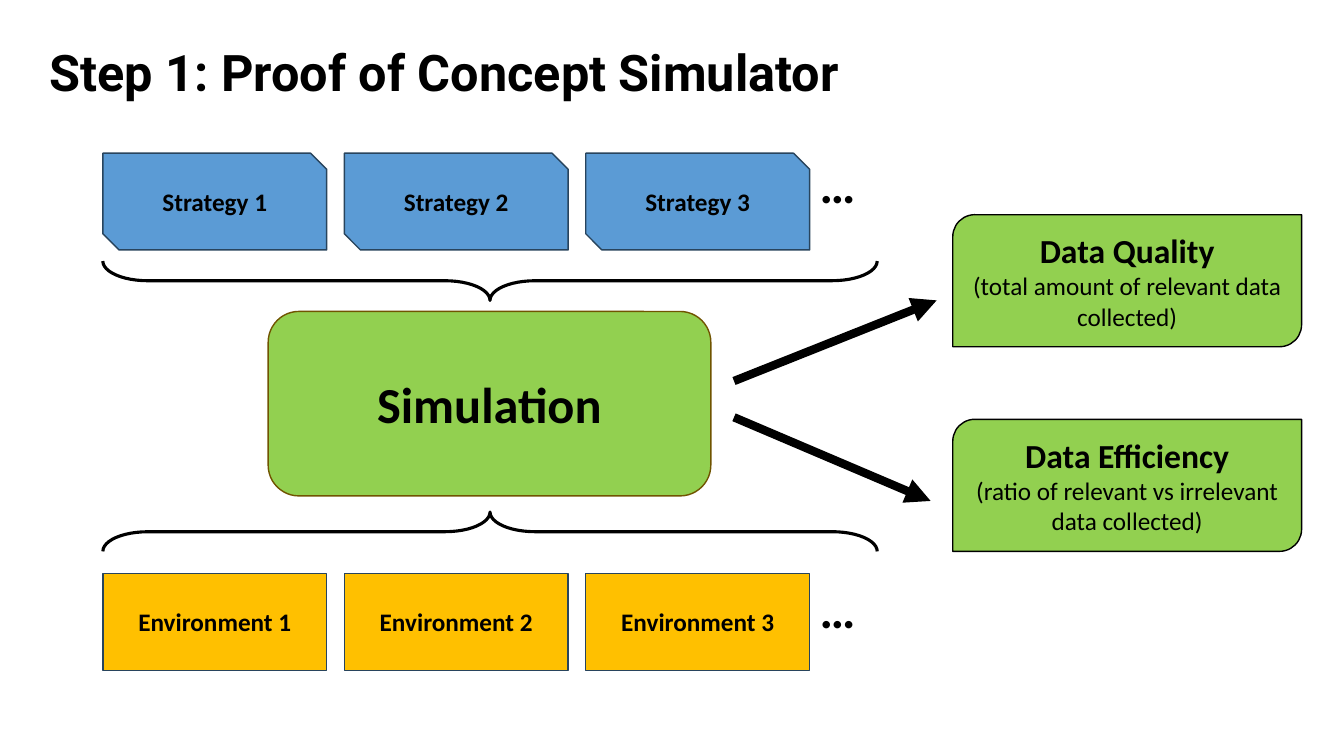
from lxml import etree
from pptx import Presentation
from pptx.dml.color import RGBColor
from pptx.enum.shapes import MSO_CONNECTOR as Connector, MSO_SHAPE as Shape
from pptx.enum.text import MSO_ANCHOR as Anchor, MSO_AUTO_SIZE as AutoSize, PP_ALIGN as Align
from pptx.oxml.ns import qn
from pptx.util import Inches, Pt

BLACK = RGBColor(0x00, 0x00, 0x00)
BLUE = RGBColor(0x5B, 0x9B, 0xD5)
NAVY = RGBColor(0x28, 0x44, 0x5D)
AMBER = RGBColor(0xFF, 0xC0, 0x00)
GREEN = RGBColor(0x92, 0xD0, 0x50)
BROWN = RGBColor(0x70, 0x54, 0x00)

CARD_WIDTH, CARD_HEIGHT, CARD_STEP = 2.22, 0.96, 2.395


def style_paragraph(paragraph, text, size, bold=True, align=Align.CENTER, font="Calibri"):
    """Fill a paragraph and set its font."""
    paragraph.text = text
    paragraph.alignment = align
    paragraph.font.name = font
    paragraph.font.size = Pt(size)
    paragraph.font.bold = bold
    paragraph.font.color.rgb = BLACK


def add_block(slide, preset, box, fill, outline, lines):
    """Draw a filled shape holding centred (text, size, bold) lines."""
    block = slide.shapes.add_shape(preset, *map(Inches, box))
    block.shadow.inherit = False
    block.fill.solid()
    block.fill.fore_color.rgb = fill
    block.line.color.rgb = outline
    block.line.width = Pt(1)
    frame = block.text_frame
    frame.word_wrap = True
    frame.vertical_anchor = Anchor.MIDDLE
    for index, (text, size, bold) in enumerate(lines):
        paragraph = frame.add_paragraph() if index else frame.paragraphs[0]
        style_paragraph(paragraph, text, size, bold)


def add_title(slide, box, text):
    """Place the slide title."""
    title = slide.shapes.title
    title.left, title.top, title.width, title.height = map(Inches, box)
    title.text_frame.word_wrap = True
    title.text_frame.auto_size = AutoSize.NONE
    title.text_frame.vertical_anchor = Anchor.TOP
    style_paragraph(title.text_frame.paragraphs[0], text, 36, align=Align.LEFT, font="Roboto")


def add_card_row(slide, left, top, preset, fill, label, ellipsis_top):
    """Draw three numbered cards followed by an ellipsis."""
    for index in range(3):
        box = (left + index * CARD_STEP, top, CARD_WIDTH, CARD_HEIGHT)
        add_block(slide, preset, box, fill, NAVY, [(f"{label} {index + 1}", 18, True)])
    ellipsis_left = left + 2 * CARD_STEP + CARD_WIDTH
    ellipsis = slide.shapes.add_textbox(*map(Inches, (ellipsis_left, ellipsis_top, 0.87, 0.88)))
    ellipsis.text_frame.word_wrap = True
    style_paragraph(ellipsis.text_frame.paragraphs[0], "…", 36, align=Align.LEFT)


def add_brace(slide, box, rotation):
    """Draw a horizontal brace filling the box as seen on the slide."""
    left, top, width, height = box
    upright = (left + (width - height) / 2, top + (height - width) / 2, height, width)
    brace = slide.shapes.add_shape(Shape.LEFT_BRACE, *map(Inches, upright))
    brace.rotation = rotation
    brace.adjustments[0] = 1.144
    brace.adjustments[1] = 0.5
    brace.shadow.inherit = False
    brace.fill.background()
    brace.line.color.rgb = BLACK
    brace.line.width = Pt(2.25)


def add_arrow(slide, start, end):
    """Draw a thick arrow between two points."""
    arrow = slide.shapes.add_connector(Connector.STRAIGHT, *map(Inches, start + end))
    arrow.line.color.rgb = BLACK
    arrow.line.width = Pt(6)
    etree.SubElement(arrow.line._get_or_add_ln(), qn("a:tailEnd"), type="triangle")
    etree.SubElement(arrow._element.spPr, qn("a:effectLst"))


def add_inputs(slide, left, top):
    """Draw the strategies and environments with their braces."""
    add_card_row(slide, left, top, Shape.SNIP_2_DIAG_RECTANGLE, BLUE, "Strategy", top - 0.05)
    add_brace(slide, (left, top + 1.07, 7.68, 0.39), 270)
    add_brace(slide, (left, top + 3.56, 7.68, 0.39), 90)
    add_card_row(slide, left, top + 4.17, Shape.RECTANGLE, AMBER, "Environment", top + 4.17)


def add_outcomes(slide, left, top):
    """Draw the two measured outcomes one above the other."""
    outcomes = [
        ("Data Quality", "(total amount of relevant data collected)"),
        ("Data Efficiency", "(ratio of relevant vs irrelevant data collected)"),
    ]
    for index, (measure, meaning) in enumerate(outcomes):
        box = (left, top + index * 2.03, 3.46, 1.31)
        lines = [(measure, 24, True), (meaning, 18, False)]
        add_block(slide, Shape.ROUND_2_DIAG_RECTANGLE, box, GREEN, BLACK, lines)


def build_simulator_slide(presentation):
    """Compose the simulator slide."""
    slide = presentation.slides.add_slide(presentation.slide_layouts[5])
    add_title(slide, (0.39, 0.36, 11.79, 0.71), "Step 1: Proof of Concept Simulator")
    add_inputs(slide, 1.02, 1.52)
    add_block(slide, Shape.ROUNDED_RECTANGLE, (2.66, 3.09, 4.39, 1.83), GREEN, BROWN,
              [("Simulation", 36, True)])
    add_arrow(slide, (7.28, 3.78), (9.29, 2.98))
    add_arrow(slide, (7.28, 4.14), (9.23, 4.97))
    add_outcomes(slide, 9.45, 2.13)


def main():
    """Build and save the presentation."""
    presentation = Presentation()
    presentation.slide_width = Inches(13.33)
    presentation.slide_height = Inches(7.5)
    build_simulator_slide(presentation)
    presentation.save("out.pptx")


if __name__ == "__main__":
    main()
